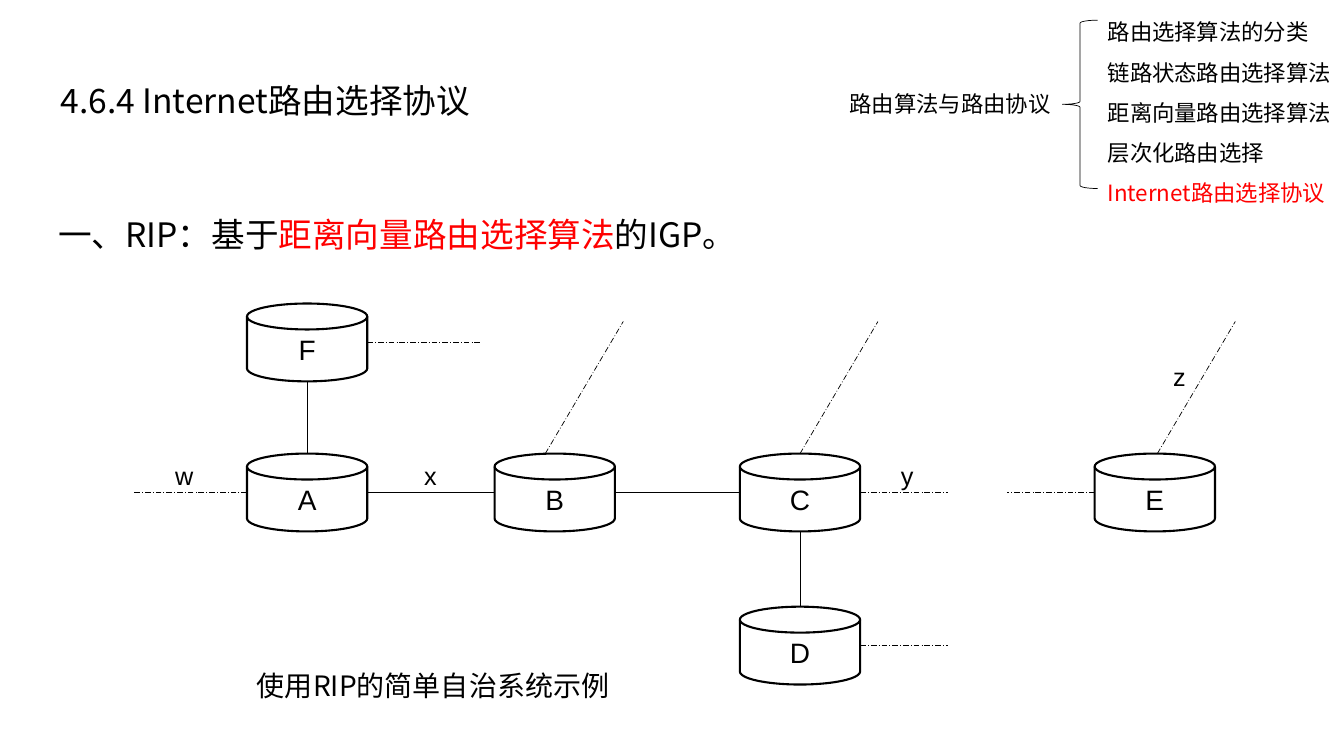
from dataclasses import dataclass

from lxml import etree
from pptx import Presentation
from pptx.dml.color import RGBColor
from pptx.enum.dml import MSO_LINE
from pptx.enum.shapes import MSO_CONNECTOR, MSO_SHAPE
from pptx.enum.text import MSO_ANCHOR, MSO_AUTO_SIZE, PP_ALIGN
from pptx.oxml.ns import qn
from pptx.util import Inches, Pt

DISK = MSO_SHAPE.FLOWCHART_MAGNETIC_DISK
BRACE = MSO_SHAPE.LEFT_BRACE
STRAIGHT = MSO_CONNECTOR.STRAIGHT
DASH_DOT = MSO_LINE.LONG_DASH_DOT
MIDDLE = MSO_ANCHOR.MIDDLE
CENTER = PP_ALIGN.CENTER
GROW = MSO_AUTO_SIZE.SHAPE_TO_FIT_TEXT

SLIDE_WIDTH, SLIDE_HEIGHT = Inches(13.33), Inches(7.5)
COLUMNS = ROWS = 100
LATIN, CHINESE = "Arial", "Noto Sans CJK SC"
BLACK, RED = "000000", "FF0000"

ROUTER_WIDTH, ROUTER_HEIGHT = 8.95, 10.3
LABEL_WIDTH, LABEL_HEIGHT = 4.2, 5.47
SIDES = {"top": (0.5, 0), "left": (0, 0.5), "bottom": (0.5, 1), "right": (1, 0.5)}


@dataclass(frozen=True)
class Router:
    column: float
    row: float

    def side(self, name: str) -> tuple[float, float]:
        across, down = SIDES[name]
        return self.column + across * ROUTER_WIDTH, self.row + down * ROUTER_HEIGHT


@dataclass(frozen=True)
class Link:
    start: str
    start_side: str
    end: str
    end_side: str


@dataclass(frozen=True)
class Stub:
    router: str
    side: str
    across: float
    up: float = 0
    shift: float = 0


@dataclass(frozen=True)
class Label:
    text: str
    column: float
    row: float


@dataclass(frozen=True)
class TextBlock:
    column: float
    row: float
    width: float
    height: float
    paragraphs: tuple[tuple[tuple[str, str], ...], ...]
    size: float
    font: str = CHINESE
    spacing: float = 1
    wrap: bool = True


ROUTERS = {
    "A": Router(18.38, 60),
    "B": Router(36.8, 60),
    "C": Router(55.05, 60),
    "D": Router(55.05, 80.25),
    "E": Router(81.45, 60),
    "F": Router(18.38, 40.15),
}
LINKS = (
    Link("F", "bottom", "A", "top"),
    Link("A", "right", "B", "left"),
    Link("B", "right", "C", "left"),
    Link("C", "bottom", "D", "top"),
)
STUBS = (
    Stub("F", "right", 8.48),
    Stub("A", "left", -8.48),
    Stub("B", "top", 5.8, 17.47, -0.7),
    Stub("C", "top", 5.8, 17.47),
    Stub("E", "top", 5.8, 17.47, 0.19),
    Stub("C", "right", 6.53),
    Stub("E", "left", -6.53),
    Stub("D", "right", 6.53),
)
LABELS = (
    Label("w", 12.3, 60.27),
    Label("x", 30.83, 60.27),
    Label("y", 66.3, 60.27),
    Label("z", 86.55, 47.2),
)
TOPICS = (
    (("路由选择算法的分类", BLACK),),
    (("链路状态路由选择算法", BLACK),),
    (("距离向量路由选择算法", BLACK),),
    (("层次化路由选择", BLACK),),
    (("Internet路由选择协议", RED),),
)
HEADING = (("一、RIP：基于", BLACK), ("距离向量路由选择算法", RED), ("的IGP。", BLACK))
TITLE = TextBlock(3.6, 4.93, 50.63, 13.87, ((("4.6.4 Internet路由选择协议", BLACK),),), 24, spacing=1.5)
TEXT_BLOCKS = (
    TextBlock(18.38, 87.73, 31.43, 5.87, ((("使用RIP的简单自治系统示例", BLACK),),), 20),
    TextBlock(62.48, 11.33, 16.65, 4.93, ((("路由算法与路由协议", BLACK),),), 16, wrap=False),
    TextBlock(81.68, 0, 18.38, 28.27, TOPICS, 16, spacing=1.5, wrap=False),
    TextBlock(3.6, 24.93, 83.63, 8.53, (HEADING,), 24, spacing=1.5),
)


def across(columns: float) -> int:
    return round(SLIDE_WIDTH * columns / COLUMNS)


def down(rows: float) -> int:
    return round(SLIDE_HEIGHT * rows / ROWS)


def color(value: str) -> RGBColor:
    return RGBColor.from_string(value)


def style_paragraph(paragraph, font: str, size: float, value: str) -> None:
    paragraph.font.name = font
    paragraph.font.size = Pt(size)
    paragraph.font.color.rgb = color(value)
    properties = paragraph._p.pPr.find(qn("a:defRPr"))
    etree.SubElement(properties, qn("a:ea"), typeface=font)


def add_outline(slide, preset, column: float, row: float, width: float, height: float, weight: float):
    shape = slide.shapes.add_shape(preset, across(column), down(row), across(width), down(height))
    shape.shadow.inherit = False
    shape.fill.background()
    shape.line.color.rgb = color(BLACK)
    shape.line.width = Pt(weight)
    return shape


def add_router(slide, name: str, router: Router) -> None:
    shape = add_outline(slide, DISK, router.column, router.row, ROUTER_WIDTH, ROUTER_HEIGHT, 1.5)
    frame = shape.text_frame
    frame.vertical_anchor = MIDDLE
    frame.text = name
    paragraph = frame.paragraphs[0]
    paragraph.alignment = CENTER
    style_paragraph(paragraph, LATIN, 20, BLACK)


def add_line(slide, start: tuple[float, float], end: tuple[float, float], dashed: bool = False) -> None:
    connector = slide.shapes.add_connector(
        STRAIGHT, across(start[0]), down(start[1]), across(end[0]), down(end[1])
    )
    connector.line.color.rgb = color(BLACK)
    connector.line.width = Pt(0.5)
    if dashed:
        connector.line.dash_style = DASH_DOT
    etree.SubElement(connector._element.spPr, qn("a:effectLst"))


def add_text(slide, block: TextBlock):
    box = slide.shapes.add_textbox(across(block.column), down(block.row), across(block.width), down(block.height))
    frame = box.text_frame
    frame.word_wrap = block.wrap
    frame.auto_size = GROW
    for index, runs in enumerate(block.paragraphs):
        paragraph = frame.add_paragraph() if index else frame.paragraphs[0]
        paragraph.line_spacing = block.spacing
        style_paragraph(paragraph, block.font, block.size, runs[0][1])
        for text, value in runs:
            run = paragraph.add_run()
            run.text = text
            if value != runs[0][1]:
                run.font.color.rgb = color(value)
    return frame


def add_title(slide) -> None:
    frame = add_text(slide, TITLE)
    frame.auto_size = MSO_AUTO_SIZE.NONE
    frame.vertical_anchor = MIDDLE
    frame.margin_left = frame.margin_right = Inches(0.12)
    frame.margin_top = frame.margin_bottom = Inches(0.06)


def main() -> None:
    presentation = Presentation()
    presentation.slide_width, presentation.slide_height = SLIDE_WIDTH, SLIDE_HEIGHT
    slide = presentation.slides.add_slide(presentation.slide_layouts[6])
    for name, router in ROUTERS.items():
        add_router(slide, name, router)
    for link in LINKS:
        add_line(slide, ROUTERS[link.start].side(link.start_side), ROUTERS[link.end].side(link.end_side))
    for stub in STUBS:
        column, row = ROUTERS[stub.router].side(stub.side)
        start = column + stub.shift, row
        add_line(slide, start, (start[0] + stub.across, row - stub.up), dashed=True)
    for label in LABELS:
        add_text(slide, TextBlock(label.column, label.row, LABEL_WIDTH, LABEL_HEIGHT, (((label.text, BLACK),),), 18, LATIN))
    add_outline(slide, BRACE, 79.05, 2.67, 2.63, 22.27, 0.5)
    for block in TEXT_BLOCKS:
        add_text(slide, block)
    add_title(slide)
    presentation.save("out.pptx")


if __name__ == "__main__":
    main()
